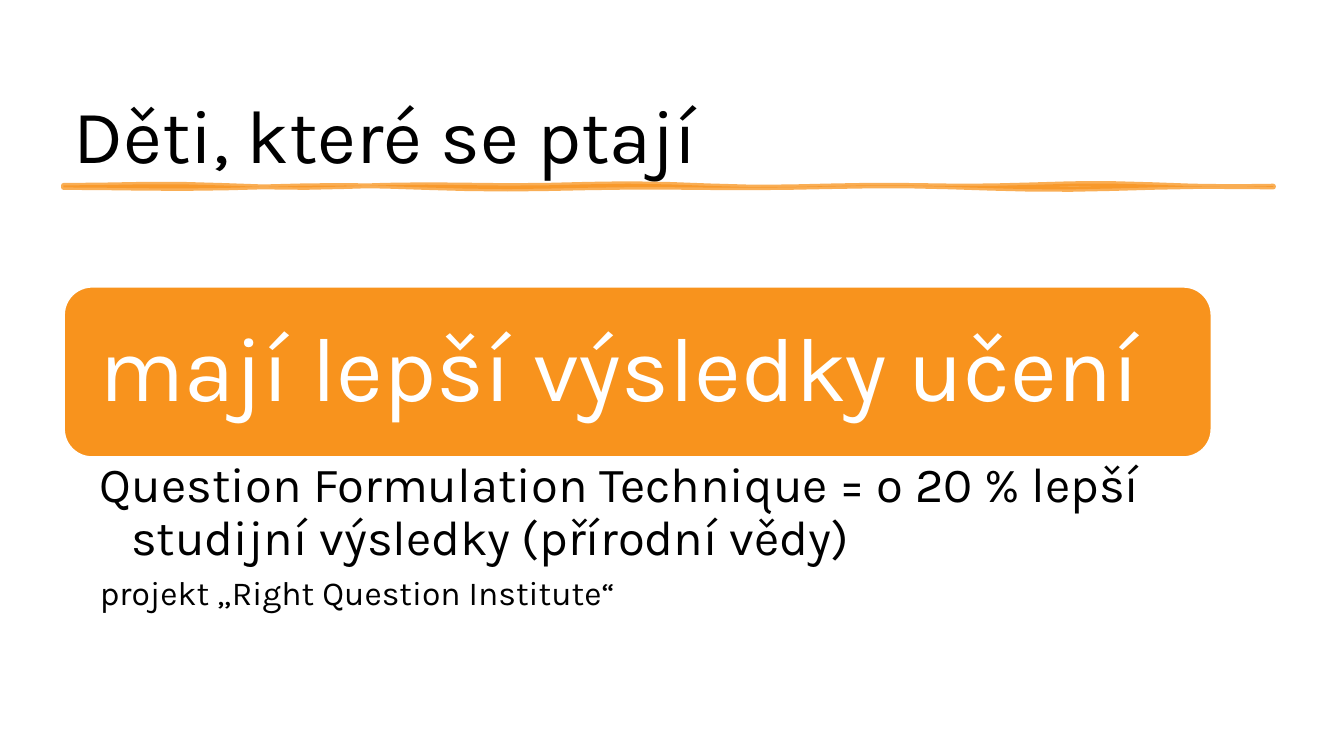
from math import sin

from lxml.etree import SubElement
from pptx import Presentation
from pptx.dml.color import RGBColor
from pptx.enum.shapes import MSO_SHAPE as Shape
from pptx.enum.text import MSO_ANCHOR as Anchor, PP_ALIGN as Align
from pptx.oxml.ns import qn
from pptx.util import Inches, Pt

ORANGE = RGBColor(0xF8, 0x93, 0x1D)
WHITE = RGBColor(0xFF, 0xFF, 0xFF)
BLACK = RGBColor(0, 0, 0)

LEFT = 0.63
BANNER_WIDTH = 11.39
BANNER_TOP, BANNER_HEIGHT = 2.84, 1.7
RULE_TOP, RULE_WIDTH, RULE_STEPS = 1.84, 12, 30

deck = Presentation()
deck.slide_width, deck.slide_height = Inches(13.33), Inches(7.5)
page = deck.slides.add_slide(deck.slide_layouts[6])


def write(box, lines, color=BLACK, anchor=Anchor.TOP, insets=(0.1, 0.05, 0.1, 0.05)):
    """Fill a box with lines given as (text, size, hanging indent)."""
    frame = box.text_frame
    frame.word_wrap = True
    frame.vertical_anchor = anchor
    (frame.margin_left, frame.margin_top,
     frame.margin_right, frame.margin_bottom) = map(Inches, insets)
    for index, (text, size, hanging) in enumerate(lines):
        para = frame.add_paragraph() if index else frame.paragraphs[0]
        para.alignment = Align.LEFT
        para.line_spacing = 0.9
        para.space_after = Pt(size * 0.2)
        if hanging:
            properties = para._p.get_or_add_pPr()
            properties.set("marL", str(Inches(hanging)))
            properties.set("indent", str(-Inches(hanging)))
        span = para.add_run()
        span.text = text
        span.font.name = "Karla"
        span.font.size = Pt(size)
        span.font.color.rgb = color


title = page.shapes.add_textbox(Inches(LEFT), Inches(0.26), Inches(12.05), Inches(1.57))
write(title, [("Děti, které se ptají", 54, 0)], anchor=Anchor.BOTTOM)

# Hand-drawn rule: two gently wavering edges, 0.02 inches apart
upper, lower = [], []
for step in range(RULE_STEPS + 1):
    x = Inches(LEFT + step * RULE_WIDTH / RULE_STEPS)
    upper.append((x, Inches(RULE_TOP - 0.02 * sin(step * 0.8) * sin(step * 0.3))))
    lower.append((x, Inches(RULE_TOP + 0.02 + 0.02 * sin(step * 0.7) * sin(step * 0.2))))
outline = upper + lower[::-1]
builder = page.shapes.build_freeform(*outline[0])
builder.add_line_segments(outline[1:], close=True)
rule = builder.convert_to_shape()
rule.shadow.inherit = False
rule.line.width = Pt(3.5)
for paint in (rule.fill, rule.line.fill):
    paint.solid()
    paint.fore_color.rgb = ORANGE
for color in rule._element.spPr.iter(qn("a:srgbClr")):
    SubElement(color, qn("a:alpha")).set("val", "75000")

banner = page.shapes.add_shape(Shape.ROUNDED_RECTANGLE, Inches(LEFT), Inches(BANNER_TOP),
                               Inches(BANNER_WIDTH), Inches(BANNER_HEIGHT))
banner.shadow.inherit = False
banner.fill.solid()
banner.fill.fore_color.rgb = ORANGE
banner.line.color.rgb = WHITE
banner.line.width = Pt(2)
write(banner, [("mají lepší výsledky učení", 65, 0)], color=WHITE,
      anchor=Anchor.MIDDLE, insets=(0.27,) * 4)

details = page.shapes.add_textbox(Inches(LEFT), Inches(BANNER_TOP + BANNER_HEIGHT),
                                  Inches(BANNER_WIDTH), Inches(1.66))
write(details, [
    ("Question Formulation Technique = o 20 % lepší studijní výsledky (přírodní vědy)", 35, 0.31),
    ("projekt „Right Question Institute“", 24, 0.25),
], insets=(0.36, 0.03, 0.19, 0.03))

deck.save("out.pptx")
